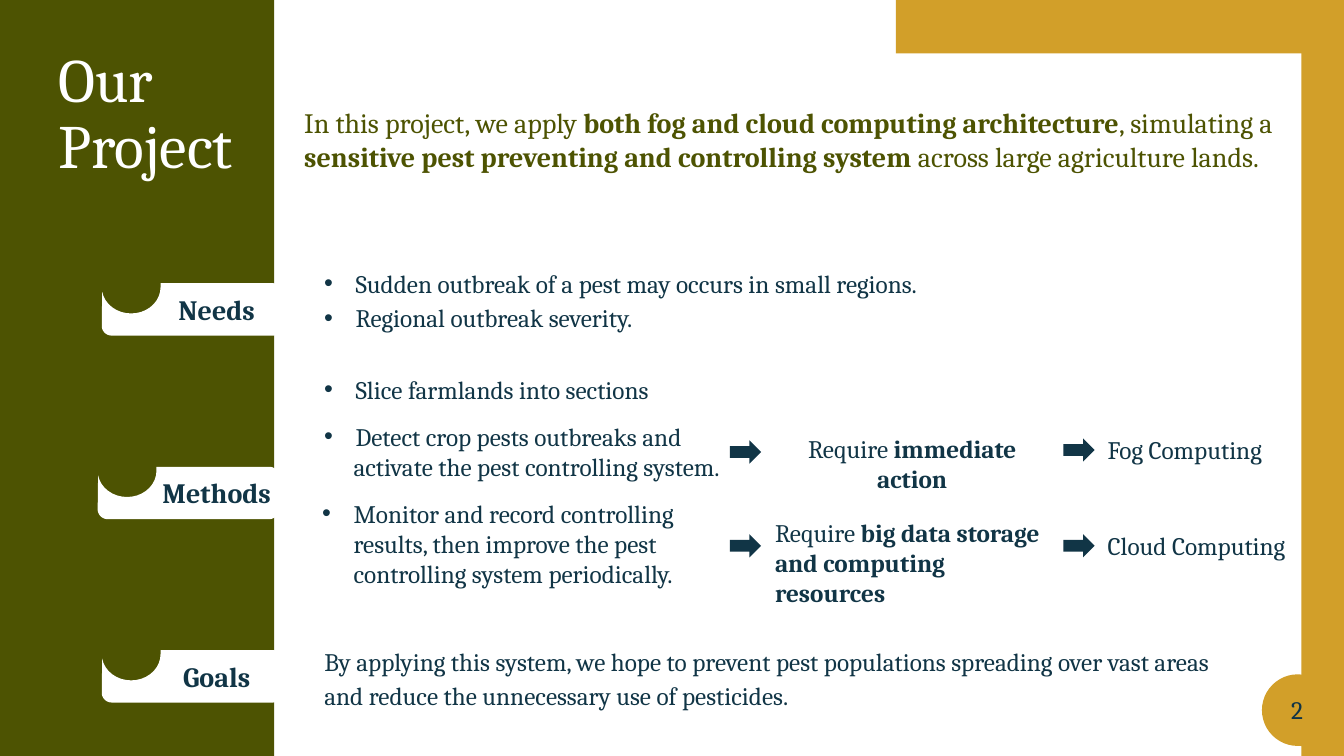
"""Build the project overview slide with its needs, methods and goals."""
from dataclasses import dataclass, field
from math import cos, radians, sin

from lxml.etree import SubElement
from pptx import Presentation
from pptx.dml.color import RGBColor
from pptx.enum.shapes import MSO_SHAPE
from pptx.enum.text import MSO_ANCHOR, MSO_AUTO_SIZE, PP_ALIGN
from pptx.oxml.ns import qn
from pptx.util import Pt

COLORS = {"olive": "4D5302", "gold": "D29F29", "navy": "113546", "white": "FFFFFF"}
FONT = "Cambria"


@dataclass
class Block:
    x: float
    y: float
    w: float
    h: float
    color: str
    kind: MSO_SHAPE = MSO_SHAPE.RECTANGLE


@dataclass
class Para:
    text: str
    left: float = 0
    hang: float = 0
    fmt: dict = field(default_factory=dict)


@dataclass
class Text:
    x: float
    y: float
    w: float
    h: float
    paras: list[Para]
    size: float = 18
    color: str = "navy"
    bold: bool = False
    frame: dict = field(default_factory=dict)


@dataclass
class Tab:
    label: str
    x: float
    y: float


def rgb(name: str) -> RGBColor:
    return RGBColor.from_string(COLORS[name])


def paint(sp, color: str) -> None:
    sp.shadow.inherit = False
    sp.fill.solid()
    sp.fill.fore_color.rgb = rgb(color)
    sp.line.fill.background()


def add_block(shapes, b: Block):
    sp = shapes.add_shape(b.kind, Pt(b.x), Pt(b.y), Pt(b.w), Pt(b.h))
    paint(sp, b.color)
    return sp


def add_text(shapes, t: Text) -> None:
    tf = shapes.add_textbox(Pt(t.x), Pt(t.y), Pt(t.w), Pt(t.h)).text_frame
    frame = {"word_wrap": True, "auto_size": MSO_AUTO_SIZE.SHAPE_TO_FIT_TEXT, **t.frame}
    for name, value in frame.items():
        setattr(tf, name, value)
    for i, para in enumerate(t.paras):
        p = tf.add_paragraph() if i else tf.paragraphs[0]
        pPr = p._p.get_or_add_pPr()
        pPr.set("marL", str(Pt(para.left)))
        pPr.set("indent", str(Pt(-para.hang)))
        if para.hang:
            SubElement(pPr, qn("a:buFont"), typeface="Arial")
            SubElement(pPr, qn("a:buChar"), char="•")
        for name, value in para.fmt.items():
            setattr(p, name, value)
        for j, part in enumerate(para.text.split("**")):
            for k, line in enumerate(part.split("\n")):
                if k:
                    p.add_line_break()
                if not line:
                    continue
                r = p.add_run()
                r.text = line
                font = {"name": FONT, "size": Pt(t.size), "bold": t.bold or j % 2 == 1}
                for name, value in font.items():
                    setattr(r.font, name, value)
                r.font.color.rgb = rgb(t.color)


def arc(cx: float, cy: float, rx: float, ry: float, start: int, end: int) -> list:
    step = 10 if end > start else -10
    return [(cx + rx * cos(radians(a)), cy + ry * sin(radians(a)))
            for a in range(start, end + step, step)]


def add_tab(shapes, tab: Tab) -> None:
    w, h, r, notch = 129.6, 37.4, 7, 21
    outline = [
        (2 * notch, 0),
        *arc(w - r, r, r, r, -90, 0),
        *arc(w - r, h - r, r, r, 0, 90),
        *arc(r, h - r, r, r, 90, 180),
        *arc(notch, 2.9, notch, 18.7, 170, 0),
    ]
    points = [(Pt(tab.x + x), Pt(tab.y + y)) for x, y in outline]
    group = shapes.add_group_shape()
    fb = group.shapes.build_freeform(*points[0])
    fb.add_line_segments(points[1:], close=True)
    paint(fb.convert_to_shape(), "white")
    label = Para(tab.label, 14.4, 0, {"alignment": PP_ALIGN.CENTER})
    add_text(group.shapes, Text(90, tab.y + 2.9, 115.2, 31.5, [label], 20, bold=True))


LOOSE = {"line_spacing": 1.14}
AFTER = {"space_after": Pt(12)}
CENTER = {"alignment": PP_ALIGN.CENTER}
NO_WRAP = {"word_wrap": False}
LEFT = 210.2
BULLET, HANG, FOLLOW = 36.7, 22.5, 35.3

BLOCKS = [
    Block(0, 0, 195.8, 540, "olive"),
    Block(929.5, 0, 30.5, 540, "gold"),
    Block(640, 0, 320, 38.2, "gold"),
    *[Block(x, y, 22.3, 16.6, "navy", MSO_SHAPE.RIGHT_ARROW)
      for x, y in [(521.3, 314.6), (521.3, 381.6), (759.6, 313.2), (759.6, 381.6)]],
]
PAGE_DROP = Block(901.4, 481.7, 51.1, 51.1, "gold", MSO_SHAPE.TEAR)
TABS = [Tab("Needs", 72.7, 202.3), Tab("Methods", 69.8, 333.4), Tab("Goals", 72.7, 464.4)]
TEXTS = [
    Text(34.6, 30.2, 175.7, 104.4, [Para("Our \nProject", fmt={"line_spacing": 0.9})], 44, "white",
         frame={"vertical_anchor": MSO_ANCHOR.MIDDLE, "auto_size": MSO_AUTO_SIZE.NONE}),
    Text(LEFT, 72, 719.3, 55.4, [Para(
        "In this project, we apply **both fog and cloud computing architecture**, simulating a "
        "**sensitive pest preventing and controlling system **across large agriculture lands.")],
        20, "olive"),
    Text(LEFT, 185, 680.4, 54.7, [
        Para("Sudden outbreak of a pest may occurs in small regions.", BULLET, HANG, LOOSE),
        Para("Regional outbreak severity.", BULLET, HANG, LOOSE)]),
    Text(LEFT, 263.5, 720.7, 162.7, [
        Para("Slice farmlands into sections", BULLET, HANG, AFTER),
        Para("Detect crop pests outbreaks and", BULLET, HANG),
        Para("activate the pest controlling system.", FOLLOW, 0, AFTER),
        Para("Monitor and record controlling", FOLLOW, HANG),
        Para("results, then improve the pest", FOLLOW),
        Para("controlling system periodically.", FOLLOW)]),
    Text(LEFT, 455, 684.7, 54.7, [Para(
        "By applying this system, we hope to prevent pest populations spreading over vast areas "
        "and reduce the unnecessary use of pesticides.", 14.4, 0, LOOSE)]),
    Text(546.5, 306, 210.2, 28.8, [Para("Require **immediate action**", fmt=CENTER)]),
    Text(546.5, 365.8, 210.2, 51.1, [
        Para("Require **big data storage and computing resources**")]),
    Text(784.1, 306.7, 133.9, 28.8, [Para("Fog Computing")], frame=NO_WRAP),
    Text(784.1, 375.1, 145.4, 28.8, [Para("Cloud Computing")], frame=NO_WRAP),
    Text(915.1, 492.5, 23.8, 28.8, [Para("2")], frame=NO_WRAP),
]


def main() -> None:
    prs = Presentation()
    prs.slide_width, prs.slide_height = Pt(960), Pt(540)
    s = prs.slides.add_slide(prs.slide_layouts[6])
    for block in BLOCKS:
        add_block(s.shapes, block)
    drop = add_block(s.shapes, PAGE_DROP)
    drop.adjustments[0] = 1.29
    drop._element.spPr.find(qn("a:xfrm")).set("flipV", "1")
    for tab in TABS:
        add_tab(s.shapes, tab)
    for text in TEXTS:
        add_text(s.shapes, text)
    prs.save("out.pptx")


if __name__ == "__main__":
    main()
